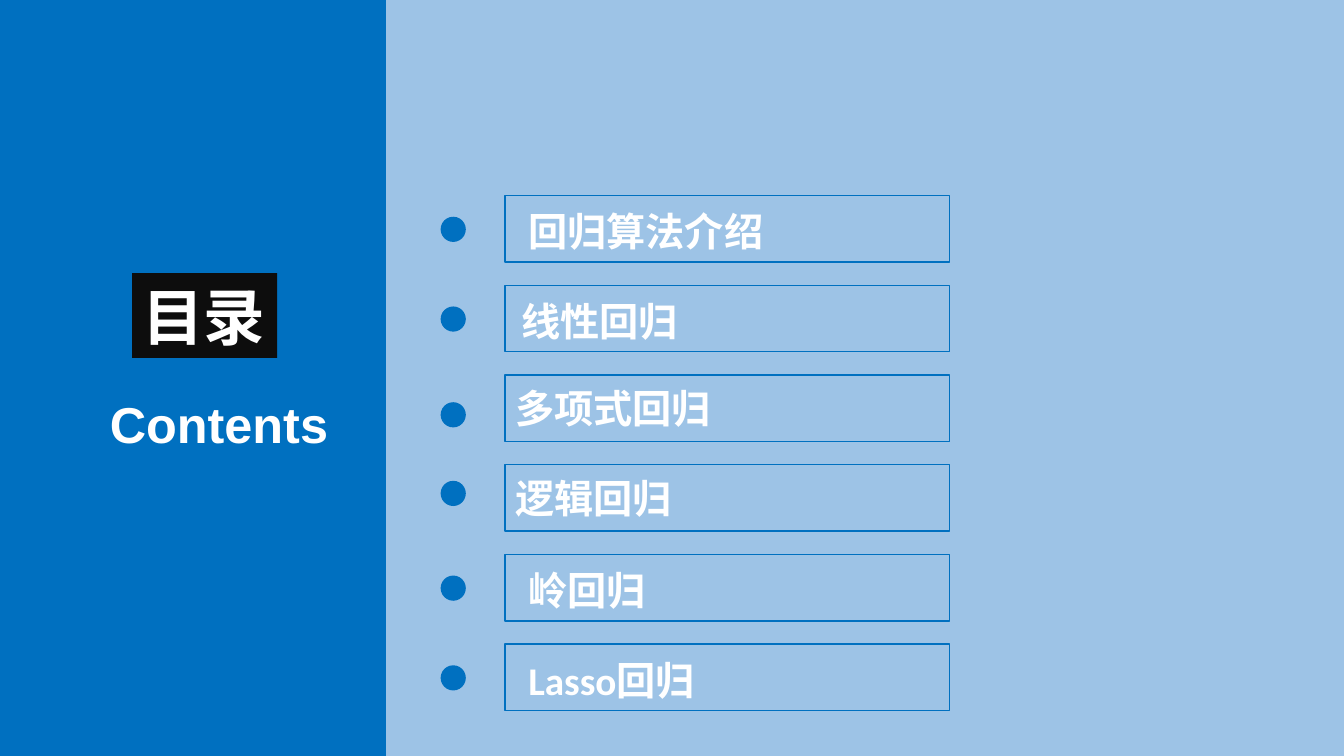
from lxml.etree import SubElement
from pptx import Presentation
from pptx.dml.color import RGBColor as Rgb
from pptx.enum.shapes import MSO_SHAPE as Shape
from pptx.enum.text import MSO_ANCHOR as Anchor, PP_ALIGN as Align
from pptx.oxml.ns import qn
from pptx.util import Inches, Pt

COLORS = {"blue": "0070C0", "pale": "9DC3E6", "black": "0D0D0D", "white": "FFFFFF"}
HAN = "Noto Sans CJK SC"


class Deck:
    def __init__(self):
        self.prs = Presentation()
        self.prs.slide_width = Inches(13.33)
        self.prs.slide_height = Inches(7.5)
        self.slide = self.prs.slides.add_slide(self.prs.slide_layouts[5])

    def color(self, name):
        return Rgb.from_string(COLORS[name])

    def paint(self, item, name):
        item.fill.solid()
        item.fill.fore_color.rgb = self.color(name)

    def shape(self, kind, box, name):
        item = self.slide.shapes.add_shape(kind, *map(Inches, box))
        item.shadow.inherit = False
        self.paint(item, name)
        item.line.fill.background()
        return item

    def letter(self, item, text, size, face, inset=0.1, wrap=True, lead=None):
        frame = item.text_frame
        frame.word_wrap = wrap
        frame.vertical_anchor = Anchor.MIDDLE
        frame.margin_left = Inches(inset)
        para = frame.paragraphs[0]
        para.text = text
        para.alignment = Align.LEFT
        para.line_spacing = lead
        font = para.font
        font.name, font.size, font.bold = face, Pt(size), True
        font.color.rgb = self.color("white")
        # East Asian face for the Chinese characters
        run = para.runs[0].font
        run.name = face
        SubElement(run._element, qn("a:ea")).set("typeface", HAN)

    def title(self, text, box):
        item = self.slide.shapes.title
        item.left, item.top, item.width, item.height = map(Inches, box)
        self.paint(item, "black")
        self.letter(item, text, 44, HAN, wrap=False)
        # Bring the title in front of the panels
        self.slide.shapes._spTree.append(item._element)

    def label(self, text, box):
        item = self.slide.shapes.add_textbox(*map(Inches, box))
        self.letter(item, text, 36, "Arial", wrap=False)

    def entry(self, text, top, inset, lead, drop):
        self.shape(Shape.OVAL, (4.37, top + drop, 0.25, 0.25), "blue")
        item = self.shape(Shape.RECTANGLE, (5.01, top, 4.41, 0.66), "pale")
        fill = item.fill._xPr.find(qn("a:solidFill"))
        SubElement(fill[0], qn("a:alpha")).set("val", "50000")
        item.line.color.rgb = self.color("blue")
        item.line.width = Pt(1)
        self.letter(item, text, 28, "Calibri", inset, lead=lead)


# Text, left inset, line spacing, drop of the dot below the box top
ENTRIES = [
    ("回归算法介绍", 0.23, 1.1, 0.21),
    ("线性回归", 0.16, 1.1, 0.21),
    ("多项式回归", 0.1, None, 0.27),
    ("逻辑回归", 0.1, None, 0.16),
    ("岭回归", 0.23, 1.1, 0.21),
    ("Lasso回归", 0.23, 1.1, 0.21),
]


def main():
    deck = Deck()

    # Background panels
    deck.shape(Shape.RECTANGLE, (0, 0, 3.92, 7.5), "blue")
    deck.shape(Shape.RECTANGLE, (3.83, 0, 9.5, 7.5), "pale")

    # Heading
    deck.title("目录", (1.31, 2.71, 1.44, 0.84))
    deck.label("Contents", (0.99, 3.84, 2.39, 0.71))

    # List of contents
    for row, (text, inset, lead, drop) in enumerate(ENTRIES):
        deck.entry(text, 1.94 + row * 0.89, inset, lead, drop)

    deck.prs.save("out.pptx")


if __name__ == "__main__":
    main()
